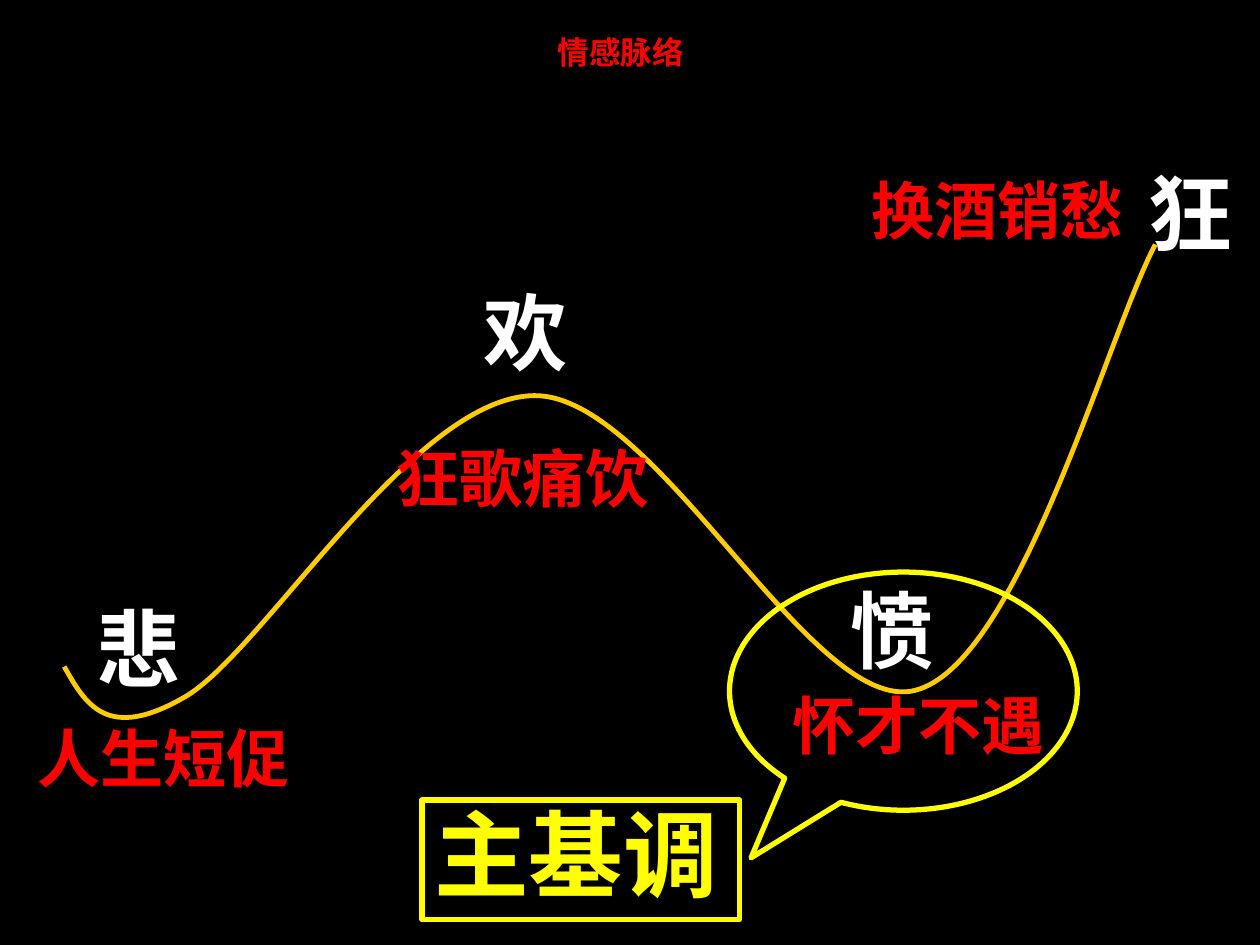
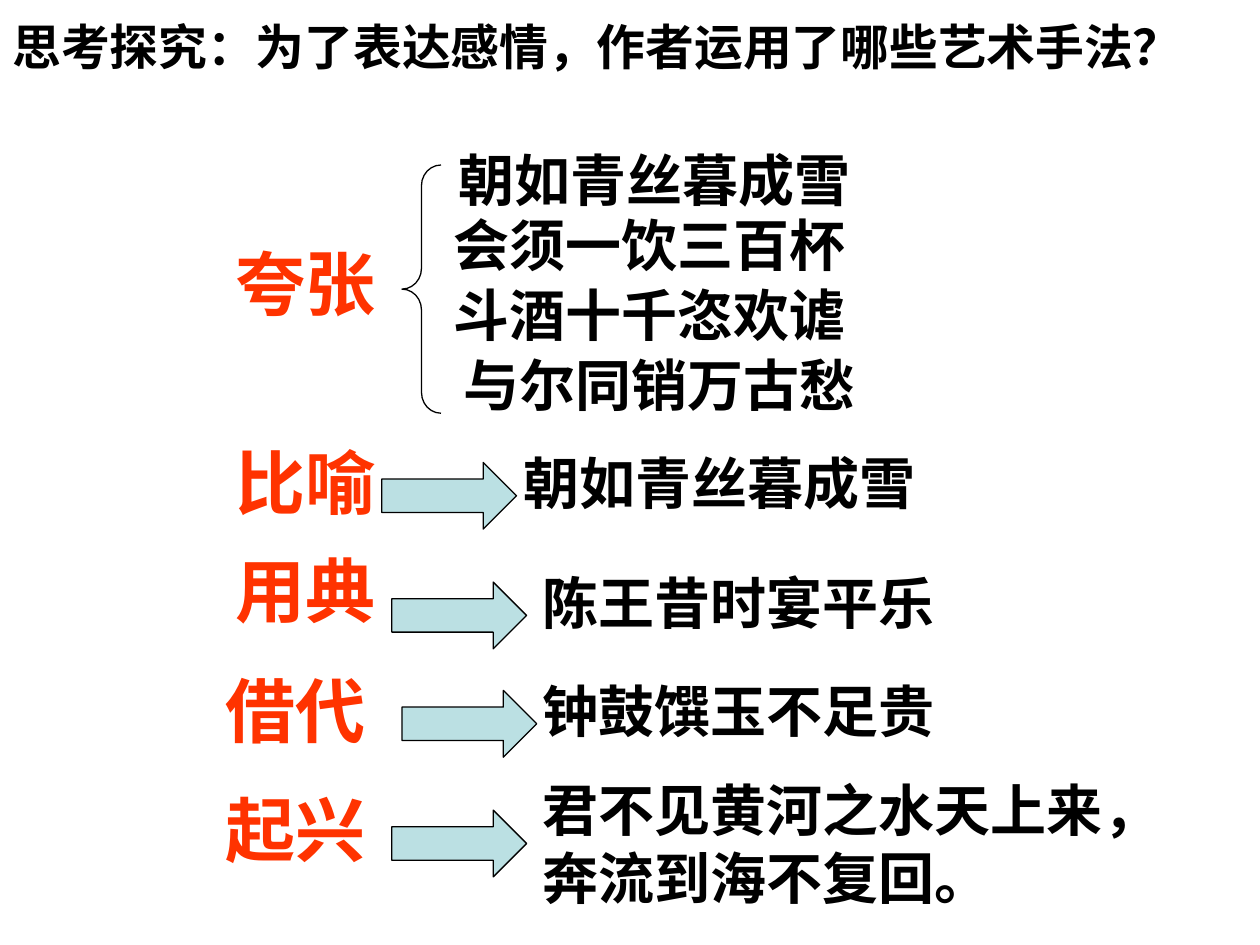
from dataclasses import dataclass

from lxml.etree import SubElement
from pptx import Presentation
from pptx.dml.color import RGBColor
from pptx.enum.shapes import MSO_SHAPE as Preset
from pptx.enum.text import MSO_ANCHOR as Anchor, PP_ALIGN as Align
from pptx.oxml.ns import qn
from pptx.util import Inches, Pt


@dataclass(frozen=True)
class Theme:
    black: str = "000000"
    white: str = "FFFFFF"
    red: str = "FF0000"
    orange: str = "FF3300"
    gold: str = "FFCC00"
    yellow: str = "FFFF00"
    pale_blue: str = "BBE0E3"
    sans: str = "Arial"
    serif: str = "Times New Roman"
    chinese: str = "Noto Sans CJK SC"
    heading_size: float = 18
    question_size: float = 27.9
    quote_size: float = 32
    phrase_size: float = 36
    device_size: float = 40
    mood_size: float = 48
    keynote_size: float = 54
    thin: float = 0.75
    medium: float = 2.75
    thick: float = 3


@dataclass(frozen=True)
class Box:
    left: float
    top: float
    width: float
    height: float

    def inner(self, dx, dy, width, height):
        """Return a box whose corner is offset from this one's corner."""
        return Box(self.left + dx, self.top + dy, width, height)

    def lengths(self):
        return [Inches(n) for n in (self.left, self.top, self.width, self.height)]


THEME = Theme()


def rgb(color):
    return RGBColor.from_string(color)


def add_blank_slide(presentation, background):
    slide = presentation.slides.add_slide(presentation.slide_layouts[6])
    slide.background.fill.solid()
    slide.background.fill.fore_color.rgb = rgb(background)
    return slide


def add_text(slide, box, text, size, color, font=THEME.sans, align=Align.LEFT,
             wrap=True, fill=None, line_spacing=None):
    """Add bold text; each line of the text is one paragraph."""
    shape = slide.shapes.add_textbox(*box.lengths())
    if fill:
        shape.fill.solid()
        shape.fill.fore_color.rgb = rgb(fill)
    frame = shape.text_frame
    frame.word_wrap = wrap
    frame.vertical_anchor = Anchor.TOP
    frame.text = text
    for paragraph in frame.paragraphs:
        paragraph.alignment = align
        if line_spacing:
            paragraph.line_spacing = line_spacing
        run = paragraph.runs[0]
        run.font.name = font
        run.font.size = Pt(size)
        run.font.bold = True
        run.font.color.rgb = rgb(color)
        SubElement(run.font._element, qn("a:ea")).set("typeface", THEME.chinese)


def style_shape(shape, line, weight, fill=None):
    shape.shadow.inherit = False
    if fill:
        shape.fill.solid()
        shape.fill.fore_color.rgb = rgb(fill)
    else:
        shape.fill.background()
    shape.line.color.rgb = rgb(line)
    shape.line.width = Pt(weight)


def add_preset(slide, preset, box, line, weight, fill=None, adjustments=()):
    shape = slide.shapes.add_shape(preset, *box.lengths())
    for index, value in enumerate(adjustments):
        shape.adjustments[index] = value
    style_shape(shape, line, weight, fill)


def add_mood_curve(slide, box):
    """Draw a smooth curve; three points after the start make one Bezier piece."""
    start, *controls = [
        (box.left + x, box.top + y) for x, y in (
            (0, 3.35),
            (0.17, 3.65), (0.34, 3.95), (0.96, 3.59),
            (1.58, 3.23), (2.77, 1.21), (3.73, 1.2),
            (4.7, 1.19), (5.93, 3.74), (6.75, 3.54),
            (7.57, 3.34), (8.27, 0.74), (8.66, 0))]
    builder = slide.shapes.build_freeform(*start, scale=Inches(1))
    # Scaled units keep the fractions of an inch exact in the outline.
    builder = slide.shapes.build_freeform(
        Inches(start[0]), Inches(start[1]), scale=1.0)
    builder.add_line_segments(
        [(Inches(x), Inches(y)) for x, y in controls], close=False)
    shape = builder.convert_to_shape()
    style_shape(shape, THEME.gold, THEME.medium)
    segments = list(shape._element.iter(qn("a:lnTo")))
    outline = segments[0].getparent()
    for first in range(0, len(segments), 3):
        curve = SubElement(outline, qn("a:cubicBezTo"))
        for segment in segments[first:first + 3]:
            curve.append(segment[0])
            outline.remove(segment)


def add_mood(slide, box, word, font):
    add_text(slide, box, word, THEME.mood_size, THEME.white, font=font,
             fill=THEME.black)


def add_phrase(slide, left, top, phrase):
    add_text(slide, Box(left, top, 2.2, 0.7), phrase, THEME.phrase_size,
             THEME.red, font=THEME.chinese, wrap=False)


def add_keynote(slide, box):
    add_preset(slide, Preset.OVAL_CALLOUT, box.inner(2.44, 0, 2.76, 1.89),
               THEME.yellow, THEME.thick, adjustments=(-0.438, 0.7))
    add_preset(slide, Preset.RECTANGLE, box.inner(0, 1.81, 2.52, 0.95),
               THEME.yellow, THEME.thick)
    add_text(slide, box.inner(0, 1.73, 2.6, 1), "主基调",
             THEME.keynote_size, THEME.yellow)


def build_mood_slide(presentation):
    slide = add_blank_slide(presentation, THEME.black)
    add_text(slide, Box(2.8, 0.21, 4.25, 0.87), "情感脉络", THEME.heading_size,
             THEME.red, font=THEME.chinese, align=Align.CENTER)
    for word, font, box in (
            ("悲", THEME.serif, Box(0.67, 4.69, 0.79, 0.9)),
            ("欢", THEME.chinese, Box(3.74, 2.18, 1.42, 1.7)),
            ("愤", THEME.serif, Box(6.65, 4.54, 0.79, 0.9)),
            ("狂", THEME.serif, Box(9.02, 1.23, 0.79, 0.9))):
        add_mood(slide, box, word, font)
    add_mood_curve(slide, Box(0.51, 1.94, 8.66, 3.95))
    for phrase, left, top in (
            ("狂歌痛饮", 3.05, 3.44), ("人生短促", 0.2, 5.66),
            ("怀才不遇", 6.19, 5.4), ("换酒销愁", 6.82, 1.31)):
        add_phrase(slide, left, top, phrase)
    add_keynote(slide, Box(3.35, 4.54, 5.2, 2.76))


def add_device_name(slide, box, name):
    add_text(slide, box, name, THEME.device_size, THEME.orange)


def add_quote(slide, box, quote):
    add_text(slide, box, quote, THEME.quote_size, THEME.black)


def add_exaggeration(slide, box):
    add_device_name(slide, box.inner(0, 0.75, 1.4, 0.77), "夸张")
    add_preset(slide, Preset.LEFT_BRACE, box.inner(1.42, 0.2, 0.31, 1.97),
               THEME.black, THEME.thin, adjustments=(0.53, 0.5))
    for quote, dx, dy in (
            ("朝如青丝暮成雪", 1.77, 0),
            ("会须一饮三百杯", 1.73, 0.51),
            ("斗酒十千恣欢谑", 1.73, 1.07),
            ("与尔同销万古愁", 1.81, 1.62)):
        add_quote(slide, box.inner(dx, dy, 4.25, 0.64), quote)


def add_device_row(slide, box, name, quote, arrow_offset, quote_offset):
    """Place name, arrow and quotation; offsets are from the box's corner."""
    add_device_name(slide, box.inner(0, 0, 1.5, 0.77), name)
    add_quote(slide, box.inner(*quote_offset, 5.47, 0.64), quote)
    add_preset(slide, Preset.RIGHT_ARROW, box.inner(*arrow_offset, 1.07, 0.53),
               THEME.black, THEME.thin, fill=THEME.pale_blue)


def build_device_slide(presentation):
    slide = add_blank_slide(presentation, THEME.white)
    add_text(slide, Box(0, 0.21, 9.8, 0.71),
             "思考探究：为了表达感情，作者运用了哪些艺术手法？",
             THEME.question_size, THEME.black, font=THEME.chinese,
             line_spacing=0.7)
    add_exaggeration(slide, Box(1.77, 1.11, 6.06, 2.26))
    for left, top, name, quote, arrow_offset, quote_offset in (
            (1.77, 3.44, "比喻", "朝如青丝暮成雪", (1.26, 0.23), (2.29, 0.07)),
            (1.77, 4.3, "用典", "陈王昔时宴平乐", (1.34, 0.32), (2.44, 0.16)),
            (1.69, 5.25, "借代", "钟鼓馔玉不足贵", (1.5, 0.23), (2.52, 0.07)),
            (1.69, 6.19, "起兴", "君不见黄河之水天上来，\n奔流到海不复回。",
             (1.42, 0.24), (2.52, -0.08))):
        add_device_row(slide, Box(left, top, 8, 0.77), name, quote,
                       arrow_offset, quote_offset)


def main():
    presentation = Presentation()
    presentation.slide_width = Inches(10)
    presentation.slide_height = Inches(7.5)
    build_mood_slide(presentation)
    build_device_slide(presentation)
    presentation.save("out.pptx")


if __name__ == "__main__":
    main()
